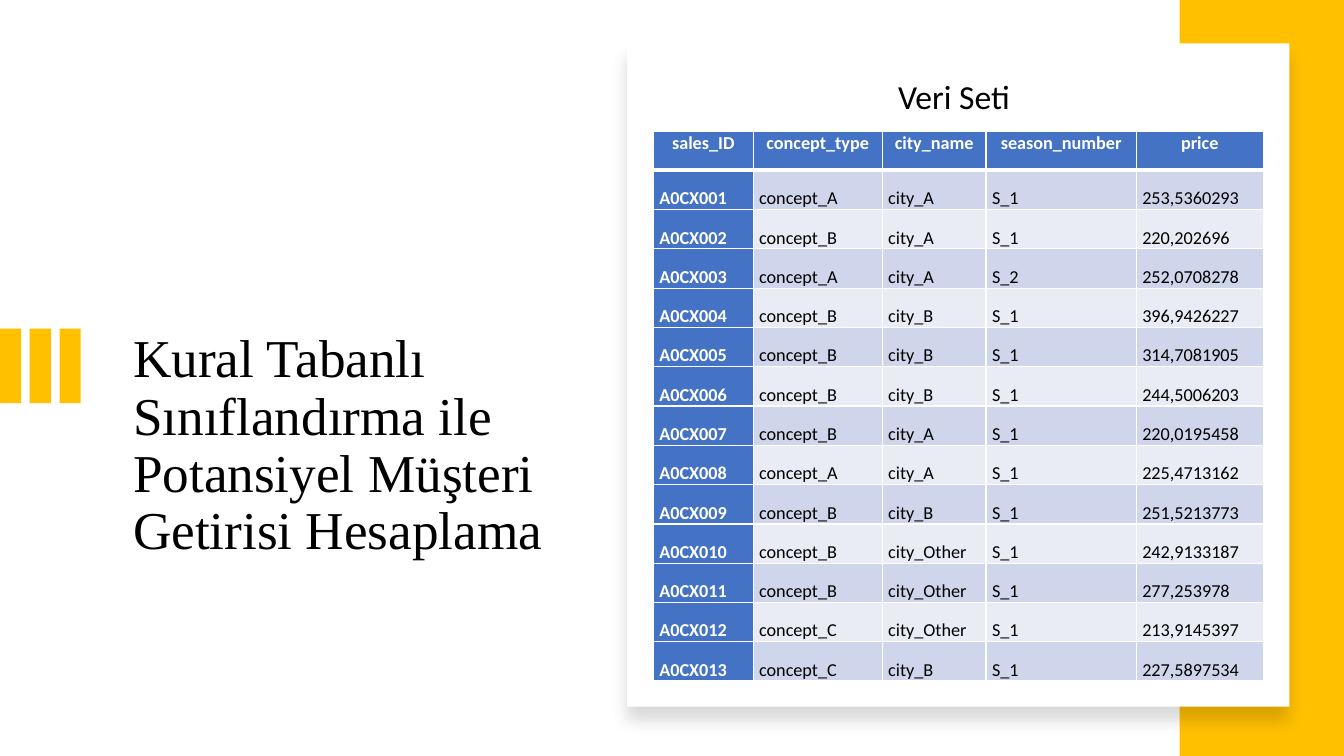
from lxml import etree
from pptx import Presentation
from pptx.dml.color import RGBColor
from pptx.enum.shapes import MSO_SHAPE
from pptx.enum.text import MSO_ANCHOR, MSO_AUTO_SIZE, PP_ALIGN
from pptx.oxml import parse_xml
from pptx.oxml.ns import nsdecls, qn
from pptx.util import Inches, Pt

RECT = MSO_SHAPE.RECTANGLE
TOP, BOTTOM = MSO_ANCHOR.TOP, MSO_ANCHOR.BOTTOM
LEFT, CENTER = PP_ALIGN.LEFT, PP_ALIGN.CENTER
NO_FIT = MSO_AUTO_SIZE.NONE

AMBER = RGBColor(0xFF, 0xC0, 0x00)
WHITE = RGBColor(0xFF, 0xFF, 0xFF)
BLACK = RGBColor(0x00, 0x00, 0x00)
BLUE = RGBColor(0x44, 0x72, 0xC4)
BAND_DARK = RGBColor(0xCF, 0xD5, 0xEA)
BAND_LIGHT = RGBColor(0xE9, 0xEB, 0xF5)

COLUMN_WIDTHS = [0.99, 1.28, 1.03, 1.49, 1.26]
ROW_HEIGHT = 0.39
HEADINGS = ["sales_ID", "concept_type", "city_name", "season_number", "price"]
# concept, city, season, price; the IDs are numbered in order
SALES = [
    ("A", "A", 1, "253,5360293"),
    ("B", "A", 1, "220,202696"),
    ("A", "A", 2, "252,0708278"),
    ("B", "B", 1, "396,9426227"),
    ("B", "B", 1, "314,7081905"),
    ("B", "B", 1, "244,5006203"),
    ("B", "A", 1, "220,0195458"),
    ("A", "A", 1, "225,4713162"),
    ("B", "B", 1, "251,5213773"),
    ("B", "Other", 1, "242,9133187"),
    ("B", "Other", 1, "277,253978"),
    ("C", "Other", 1, "213,9145397"),
    ("C", "B", 1, "227,5897534"),
]


def apply(target, values):
    for name, value in values.items():
        setattr(target, name, value)


class SlideBuilder:
    title_font = "Times New Roman"
    body_font = "Calibri"

    def __init__(self, slide):
        self.slide = slide

    def set_text(self, frame, text, font, color, paragraph_format):
        frame.text = text
        paragraph = frame.paragraphs[0]
        apply(paragraph, paragraph_format)
        apply(paragraph.font, font)
        paragraph.font.color.rgb = color

    def placeholder(self, holder, box, text, font, paragraph_format):
        apply(holder, dict(zip(("left", "top", "width", "height"), map(Inches, box))))
        apply(holder.text_frame, {"word_wrap": True, "auto_size": NO_FIT,
                                  "vertical_anchor": TOP})
        self.set_text(holder.text_frame, text, font, BLACK, paragraph_format)
        # Bring the text in front of the shapes drawn so far
        self.slide.shapes._spTree.append(holder._element)

    def block(self, box, color, parent=None):
        shapes = (parent or self.slide).shapes
        shape = shapes.add_shape(RECT, *map(Inches, box))
        shape.shadow.inherit = False
        shape.fill.solid()
        shape.fill.fore_color.rgb = color
        shape.line.fill.background()
        return shape

    def card(self, box, color):
        effects = self.block(box, color)._element.spPr.find(qn("a:effectLst"))
        effects.append(parse_xml(
            f'<a:outerShdw {nsdecls("a")} blurRad="{Pt(11)}" dist="{Pt(10)}" '
            f'dir="5400000" algn="t" rotWithShape="0">'
            f'<a:srgbClr val="{BLACK}"><a:alpha val="15000"/></a:srgbClr></a:outerShdw>'))

    def borders(self, cell, widths):
        properties = cell._tc.get_or_add_tcPr()
        for position, (side, width) in enumerate(widths.items()):
            line = etree.Element(qn(f"a:ln{side}"), w=str(Pt(width)))
            fill = etree.SubElement(line, qn("a:solidFill"))
            etree.SubElement(fill, qn("a:srgbClr"), val=str(WHITE))
            properties.insert(position, line)

    def table(self, left, top, widths, row_height, rows):
        table = self.slide.shapes.add_table(
            len(rows), len(widths), Inches(left), Inches(top),
            Inches(sum(widths)), Inches(row_height * len(rows))).table
        table.first_col = True
        for column, width in zip(table.columns, widths):
            column.width = Inches(width)
        for r, row in enumerate(rows):
            table.rows[r].height = Inches(row_height)
            for c, text in enumerate(row):
                self.table_cell(table.cell(r, c), text, r, c)

    def table_cell(self, cell, text, r, c):
        header = r == 0
        strong = header or c == 0
        band = BAND_DARK if r % 2 else BAND_LIGHT
        apply(cell, {"margin_left": Inches(0.06), "margin_right": Inches(0.06),
                     "margin_top": 0, "margin_bottom": 0,
                     "vertical_anchor": TOP if header else BOTTOM})
        cell.fill.solid()
        cell.fill.fore_color.rgb = BLUE if strong else band
        self.set_text(cell.text_frame, text,
                      {"name": self.body_font, "size": Pt(13), "bold": strong},
                      WHITE if strong else BLACK,
                      {"alignment": CENTER if header else LEFT,
                       "line_spacing": 1.07, "space_after": Pt(8)})
        self.borders(cell, {"L": 1, "R": 1, "T": 3 if r == 1 else 1,
                            "B": 3 if header else 1})


def main():
    deck = Presentation()
    deck.slide_width, deck.slide_height = Inches(13.33), Inches(7.5)
    slide = deck.slides.add_slide(deck.slide_layouts[0])
    builder = SlideBuilder(slide)
    title, subtitle = slide.placeholders

    # Project title
    builder.placeholder(
        title, (1.22, 3.24, 4.41, 2.61),
        "Kural Tabanlı Sınıflandırma ile Potansiyel Müşteri Getirisi Hesaplama",
        {"name": builder.title_font, "size": Pt(38)},
        {"alignment": LEFT, "line_spacing": 0.9})

    # Amber accents: three bars on the left, a band on the right
    bars = slide.shapes.add_group_shape()
    for i in range(3):
        builder.block((i * 0.295, 3.26, 0.21, 0.74), AMBER, bars)
    builder.block((11.7, 0, 1.63, 7.5), AMBER)

    # Card with the data set
    builder.card((6.22, 0.43, 6.57, 6.58), WHITE)
    sales_rows = [
        (f"A0CX{number:03}", f"concept_{concept}", f"city_{city}", f"S_{season}", price)
        for number, (concept, city, season, price) in enumerate(SALES, 1)]
    builder.table(6.48, 1.3, COLUMN_WIDTHS, ROW_HEIGHT, [HEADINGS] + sales_rows)

    # Card heading
    builder.placeholder(
        subtitle, (4.5, 0.75, 10, 1.81), "Veri Seti ",
        {"name": builder.body_font, "size": Pt(24)},
        {"alignment": CENTER, "line_spacing": 0.9, "space_before": Pt(10)})

    deck.save("out.pptx")


if __name__ == "__main__":
    main()
